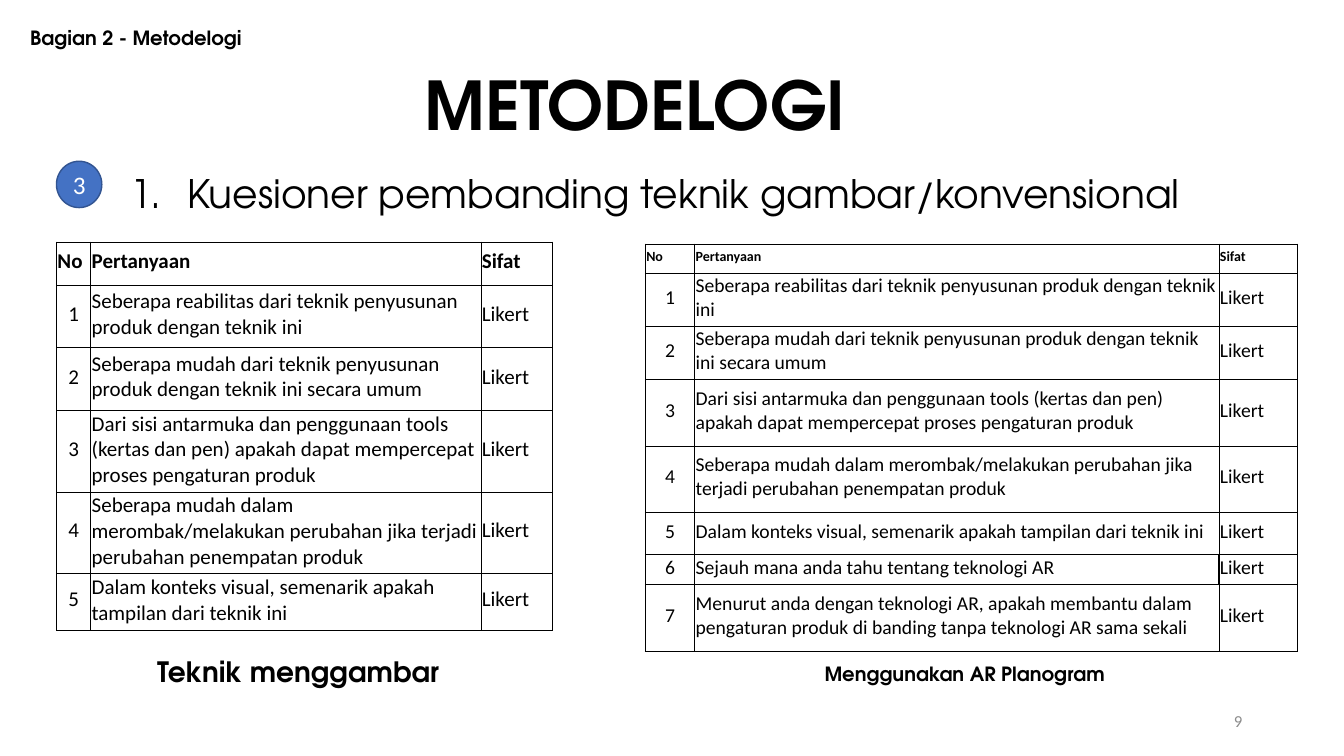
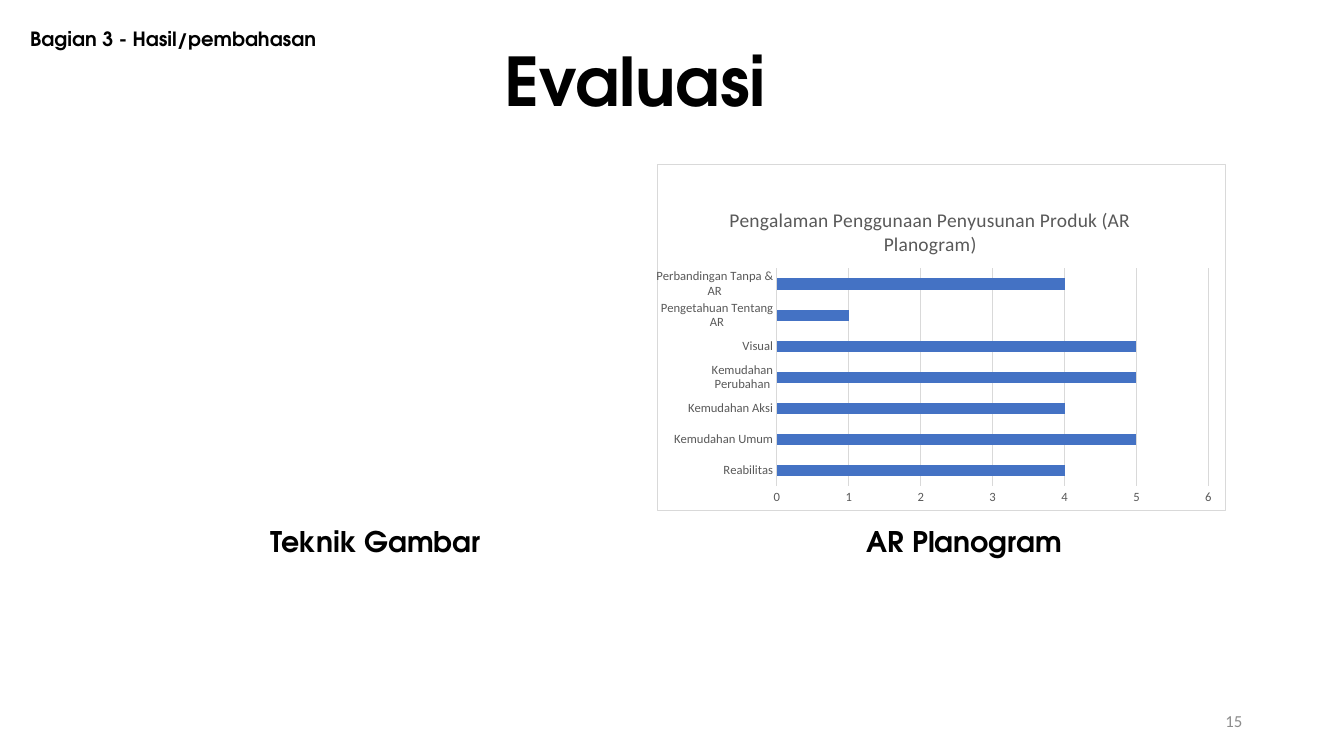
from pptx import Presentation
from pptx.chart.data import CategoryChartData as ChartData
from pptx.dml.color import RGBColor as RGB
from pptx.enum.chart import XL_CHART_TYPE as Kind, XL_TICK_MARK as Tick
from pptx.enum.shapes import MSO_SHAPE as Form
from pptx.enum.text import MSO_ANCHOR as Anchor, PP_ALIGN as Align
from pptx.oxml import parse_xml
from pptx.oxml.ns import nsdecls, qn
from pptx.util import Inches, Pt

BLACK = RGB(0, 0, 0)
WHITE = RGB(255, 255, 255)
BLUE = RGB(0x44, 0x72, 0xC4)
NAVY = RGB(0x32, 0x54, 0x91)
GRAY = RGB(0x8C, 0x8C, 0x8C)
DARK = RGB(0x59, 0x59, 0x59)
PALE = RGB(0xD9, 0xD9, 0xD9)
HEAD = "TeX Gyre Adventor"
BODY = "Calibri"


def style(para, size, color=BLACK, face=BODY, bold=False, align=Align.LEFT):
    font = para.font
    font.size, font.name, font.bold = Pt(size), face, bold
    font.color.rgb = color
    para.alignment = align


def label(slide, text, box, size, bold=True, align=Align.LEFT, space=0.9):
    frame = slide.shapes.add_textbox(*map(Inches, box)).text_frame
    frame.word_wrap = True
    para = frame.paragraphs[0]
    para.text = text
    para.line_spacing = space
    para.space_before = Pt(10)
    style(para, size, BLACK, HEAD, bold, align)
    return para


deck = Presentation()
deck.slide_width, deck.slide_height = Inches(13.33), Inches(7.5)

pages = []
for title, top, part, high, number in [
    ("METODELOGI", 0.67, "Bagian 2 - Metodelogi", 0.23, "9"),
    ("Evaluasi", 0.43, "Bagian 3 - Hasil/pembahasan", 0.24, "15"),
]:
    page = deck.slides.add_slide(deck.slide_layouts[6])
    label(page, title, (1.3, top, 10, 0.43), 48, align=Align.CENTER)
    label(page, part, (0.2, high, 5.02, 0.43), 14)
    box = page.shapes.add_textbox(Inches(9.42), Inches(6.95), Inches(3), Inches(0.4))
    box.text_frame.vertical_anchor = Anchor.MIDDLE
    box.text_frame.word_wrap = True
    box.text_frame.text = number
    style(box.text_frame.paragraphs[0], 12, GRAY, align=Align.RIGHT)
    pages.append(page)
method, result = pages

para = label(method, "Kuesioner pembanding teknik gambar/konvensional",
             (1.2, 1.68, 11.22, 2.2), 28, bold=False)
props = para._p.get_or_add_pPr()
props.set("marL", str(Inches(0.56)))
props.set("indent", str(-Inches(0.56)))
props.append(parse_xml(f'<a:buFont {nsdecls("a")} typeface="+mj-lt"/>'))
props.append(parse_xml(f'<a:buAutoNum {nsdecls("a")} type="arabicPeriod"/>'))

badge = method.shapes.add_shape(
    Form.OVAL, Inches(0.56), Inches(1.6), Inches(0.45), Inches(0.46))
badge.shadow.inherit = False
badge.fill.solid()
badge.fill.fore_color.rgb = BLUE
badge.line.color.rgb = NAVY
badge.line.width = Pt(1)
badge.text_frame.text = "3"
badge.text_frame.vertical_anchor = Anchor.MIDDLE
style(badge.text_frame.paragraphs[0], 18, WHITE, align=Align.CENTER)

asks = [
    "Seberapa reabilitas dari teknik penyusunan produk dengan teknik ini",
    "Seberapa mudah dari teknik penyusunan produk dengan teknik ini secara umum",
    "Dari sisi antarmuka dan penggunaan tools (kertas dan pen) apakah dapat "
    "mempercepat proses pengaturan produk",
    "Seberapa mudah dalam merombak/melakukan perubahan jika terjadi perubahan "
    "penempatan produk",
    "Dalam konteks visual, semenarik apakah tampilan dari teknik ini",
    "Sejauh mana anda tahu tentang teknologi AR",
    "Menurut anda dengan teknologi AR, apakah membantu dalam pengaturan produk "
    "di banding tanpa teknologi AR sama sekali",
]
for left, top, wides, highs, top_size, size in [
    (0.56, 2.4, [0.34, 3.87, 0.71], [0.43, 0.62, 0.62, 0.81, 0.81, 0.56], 15, 15),
    (6.4, 2.42, [0.49, 5.2, 0.78],
     [0.29, 0.42, 0.42, 0.66, 0.66, 0.42, 0.29, 0.66], 10, 14),
]:
    rows = [("No", "Pertanyaan", "Sifat")]
    rows += [(str(n), ask, "Likert") for n, ask in enumerate(asks[:len(highs) - 1], 1)]
    table = method.shapes.add_table(
        len(rows), 3, Inches(left), Inches(top),
        Inches(sum(wides)), Inches(sum(highs))).table
    for col, wide in zip(table.columns, wides):
        col.width = Inches(wide)
    for r, row in enumerate(rows):
        table.rows[r].height = Inches(highs[r])
        for c, text in enumerate(row):
            cell = table.cell(r, c)
            cell.text = text
            cell.vertical_anchor = Anchor.MIDDLE
            cell.margin_left = cell.margin_right = cell.margin_top = Inches(0.01)
            cell.margin_bottom = Inches(0.05)
            style(cell.text_frame.paragraphs[0], size if r else top_size, bold=r == 0,
                  align=Align.CENTER if r and c == 0 else Align.LEFT)
            thick = Pt(1 if r == 6 and c < 2 else 0.5)
            for side in "LRTB":
                cell._tc.get_or_add_tcPr().append(parse_xml(
                    f'<a:ln{side} {nsdecls("a")} w="{thick}"><a:solidFill>'
                    f'<a:srgbClr val="{BLACK}"/></a:solidFill></a:ln{side}>'))
            cell.fill.background()

label(method, "Teknik menggambar", (1.46, 6.48, 3.12, 0.42), 20)
label(method, "Menggunakan AR Planogram", (8.08, 6.58, 3.12, 0.42), 14, space=0.7)

for text, left in [("Teknik Gambar", 1.9), ("AR Planogram", 7.74)]:
    label(result, text, (left, 5.24, 3.65, 0.35), 20.3, align=Align.CENTER, space=0.7)

data = ChartData()
data.categories = ["Reabilitas", "Kemudahan Umum", "Kemudahan Aksi",
                   "Kemudahan Perubahan", "Visual", "Pengetahuan Tentang AR",
                   "Perbandingan Tanpa & AR"]
data.add_series("Series 1", [4, 5, 4, 5, 5, 1, 4])
chart = result.shapes.add_chart(
    Kind.BAR_CLUSTERED, Inches(6.51), Inches(1.63), Inches(5.65), Inches(3.44),
    data).chart
chart.has_legend = False
chart.font.size, chart.font.name = Pt(10), BODY
chart.has_title = True
name = chart.chart_title.text_frame
name.text = "Pengalaman Penggunaan Penyusunan Produk (AR Planogram)"
style(name.paragraphs[0], 14, DARK, align=Align.CENTER)

plot = chart.plots[0]
plot.gap_width = 182
plot.vary_by_categories = False
bars = plot.series[0].format.fill
bars.solid()
bars.fore_color.rgb = BLUE

cats, vals = chart.category_axis, chart.value_axis
for axis in (cats, vals):
    axis.major_tick_mark = axis.minor_tick_mark = Tick.NONE
    font = axis.tick_labels.font
    font.size, font.name = Pt(9), BODY
    font.color.rgb = DARK
vals.minimum_scale, vals.maximum_scale, vals.major_unit = 0, 6, 1
vals.format.line.fill.background()
vals.has_major_gridlines = True
for line in (cats.format.line, vals.major_gridlines.format.line):
    line.color.rgb = PALE
    line.width = Pt(0.75)

root = chart.element
body = root.find(qn("c:chart"))
body.addnext(parse_xml(
    f'<c:spPr {nsdecls("c", "a")}><a:solidFill><a:srgbClr val="{WHITE}"/></a:solidFill>'
    f'<a:ln w="{Pt(0.75)}"><a:solidFill><a:srgbClr val="{PALE}"/></a:solidFill></a:ln>'
    '</c:spPr>'))
for tag, spot, inner, sizes in [
    ("c:title", 1, "", {"x": 0.12, "y": 0.11}),
    ("c:plotArea", 0, '<c:layoutTarget val="inner"/>',
     {"x": 0.21, "y": 0.3, "w": 0.76, "h": 0.63}),
]:
    node = body.find(qn(tag))
    for old in node.findall(qn("c:layout")):
        node.remove(old)
    modes = "".join(f'<c:{k}Mode val="edge"/>' for k in "xy")
    spots = "".join(f'<c:{k} val="{v}"/>' for k, v in sizes.items())
    node.insert(spot, parse_xml(
        f'<c:layout {nsdecls("c")}><c:manualLayout>{inner}{modes}{spots}'
        '</c:manualLayout></c:layout>'))

deck.save("out.pptx")
